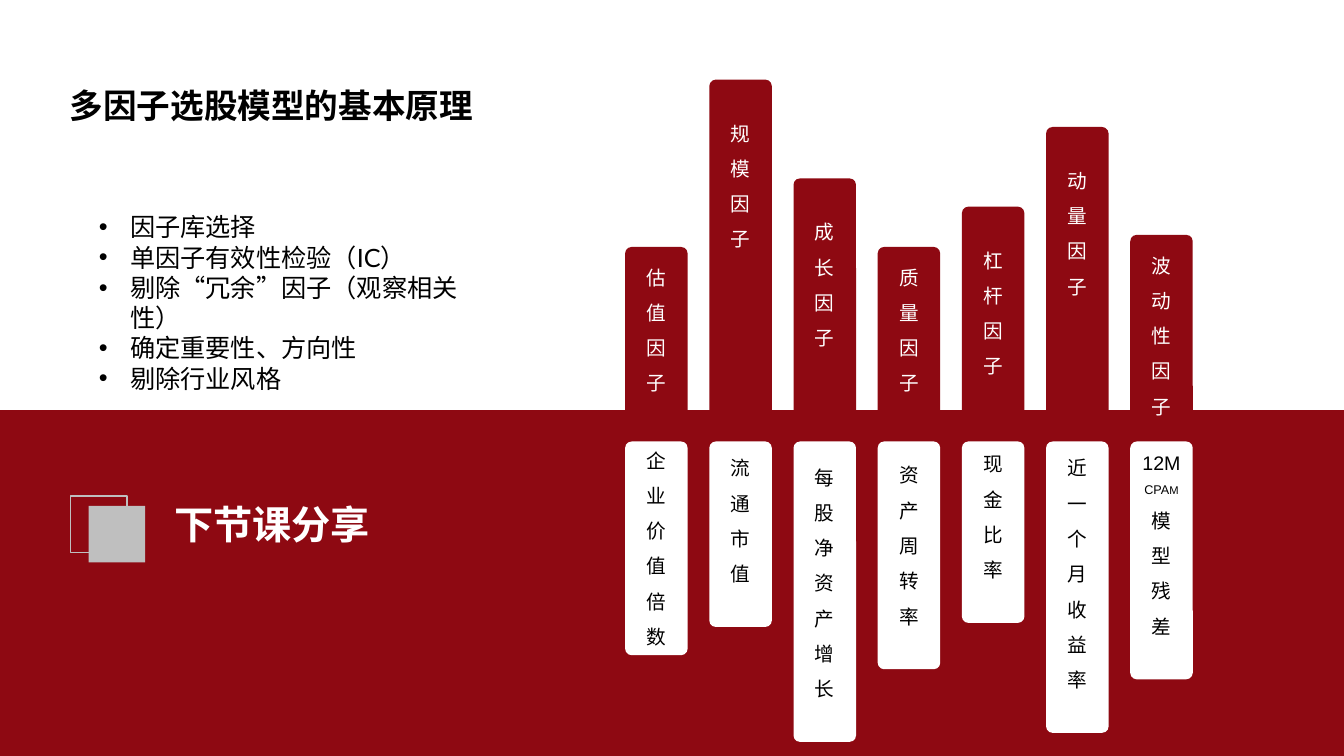
from pptx import Presentation
from pptx.dml.color import RGBColor
from pptx.enum.shapes import MSO_SHAPE as SHAPE
from pptx.enum.text import MSO_ANCHOR as ANCHOR, MSO_AUTO_SIZE as AUTO, PP_ALIGN as ALIGN
from pptx.util import Inches, Pt

RED = RGBColor(0x8E, 0x09, 0x12)
WHITE = RGBColor(0xFF, 0xFF, 0xFF)
BLACK = RGBColor(0, 0, 0)
GREY = RGBColor(0xBF, 0xBF, 0xBF)

WIDTH, HEIGHT = 13.33, 7.5
BAND_TOP = 4.07
BAR_LEFT, BAR_STEP, BAR_WIDTH = 6.2, 0.835, 0.62
LOWER_TOP = 4.38
INSET, UPPER_PAD, LOWER_PAD = 0.05, 0.28, 0.39

BULLETS = [
    ("因子库选择", "Lato"),
    ("单因子有效性检验（IC）", "Lato"),
    ("剔除“冗余”因子（观察相关性）", "Noto Sans CJK SC"),
    ("确定重要性、方向性", "Noto Sans CJK SC"),
    ("剔除行业风格", "Noto Sans CJK SC"),
]

# Each factor: name, top, height, upper padding; measure runs, height, lower padding.
FACTORS = [
    ("估值因子", 2.45, 1.72, INSET, [("企业价值倍数", 14)], 2.12, INSET),
    ("规模因子", 0.79, 3.56, UPPER_PAD, [("流通市值", 14)], 1.84, LOWER_PAD),
    ("成长因子", 1.77, 2.67, UPPER_PAD, [("每股净资产增长", 14)], 2.98, LOWER_PAD),
    ("质量因子", 2.45, 1.9, INSET, [("资产周转率", 14)], 2.26, LOWER_PAD),
    ("杠杆因子", 2.05, 2.39, UPPER_PAD, [("现金比率", 14)], 1.8, LOWER_PAD),
    ("动量因子", 1.26, 3.29, UPPER_PAD, [("近一个月收益率", 14)], 2.89, LOWER_PAD),
    ("波动性因子", 2.33, 2.11, INSET,
     [("12M ", 14), ("CPA", 9), ("M", 8), ("模型残差", 14)], 2.36, LOWER_PAD),
]


def add_run(p, text, size, color, font="Arial", bold=False):
    """Append one formatted run to a paragraph."""
    r = p.add_run()
    r.text = text
    r.font.size, r.font.name, r.font.bold = Pt(size), font, bold
    r.font.color.rgb = color


def add_box(s, kind, box, fill=None, line=None):
    """Add a flat shape with an optional fill and outline."""
    sp = s.shapes.add_shape(kind, *map(Inches, box))
    sp.shadow.inherit = False
    if fill is None:
        sp.fill.background()
    else:
        sp.fill.solid()
        sp.fill.fore_color.rgb = fill
    if line is None:
        sp.line.fill.background()
    else:
        sp.line.color.rgb = line
        sp.line.width = Pt(1)
    return sp


def place(sp, box):
    """Move a placeholder to a box and fix its text settings."""
    sp.left, sp.top, sp.width, sp.height = map(Inches, box)
    tf = sp.text_frame
    tf.word_wrap, tf.auto_size, tf.vertical_anchor = True, AUTO.NONE, ANCHOR.TOP
    return tf


def add_title(s, box):
    """Fill the title placeholder."""
    p = place(s.shapes.title, box).paragraphs[0]
    p.alignment = ALIGN.LEFT
    add_run(p, "多因子选股模型的基本原理", 24, BLACK, "Lato", True)


def add_bullets(s, box):
    """Fill the body placeholder with the list of steps."""
    tf = place(s.placeholders[1], box)
    for i, (text, font) in enumerate(BULLETS):
        p = tf.add_paragraph() if i else tf.paragraphs[0]
        p.space_before = Pt(0)
        pPr = p._p.get_or_add_pPr()
        pPr.set("marL", str(Inches(0.31)))
        pPr.set("indent", str(-Inches(0.31)))
        add_run(p, text, 18, BLACK, font)


def add_bar(s, box, runs, fill, color, anchor, top=INSET, bottom=INSET):
    """Add a rounded bar with stacked characters."""
    sp = add_box(s, SHAPE.ROUNDED_RECTANGLE, box, fill)
    sp.adjustments[0] = 0.103
    tf = sp.text_frame
    tf.word_wrap, tf.vertical_anchor = True, anchor
    tf.margin_top, tf.margin_bottom = Inches(top), Inches(bottom)
    p = tf.paragraphs[0]
    p.alignment, p.line_spacing = ALIGN.CENTER, 1.5
    for text, size in runs:
        add_run(p, text, size, color)


def add_factors(s, left):
    """Add the red factor bars and the white measure bars in columns."""
    for i, (name, top, height, pad, measure, depth, lower_pad) in enumerate(FACTORS):
        x = left + i * BAR_STEP
        add_bar(s, (x, top, BAR_WIDTH, height), [(name, 14)],
                RED, WHITE, ANCHOR.TOP, top=pad)
        add_bar(s, (x, LOWER_TOP, BAR_WIDTH, depth), measure,
                WHITE, BLACK, ANCHOR.BOTTOM, bottom=lower_pad)


def add_next_lesson(s, left, top):
    """Add the paired squares and the heading beside them."""
    side = 0.56
    add_box(s, SHAPE.RECTANGLE, (left, top, side, side), line=GREY)
    add_box(s, SHAPE.RECTANGLE, (left + 0.18, top + 0.1, side, side), GREY)
    box = (left + 0.93, top + 0.05, 3.51, 0.78)
    tf = s.shapes.add_textbox(*map(Inches, box)).text_frame
    tf.word_wrap = True
    p = tf.paragraphs[0]
    p.line_spacing = 0.9
    add_run(p, "下节课分享", 28, WHITE, bold=True)


def main():
    """Build and save the slide."""
    prs = Presentation()
    prs.slide_width, prs.slide_height = Inches(WIDTH), Inches(HEIGHT)
    s = prs.slides.add_slide(prs.slide_layouts[1])
    add_box(s, SHAPE.RECTANGLE, (0, BAND_TOP, WIDTH, HEIGHT - BAND_TOP), RED)
    add_title(s, (0.59, 0.79, 4.9, 0.5))
    add_bullets(s, (0.88, 2.05, 4.14, 1.9))
    add_factors(s, BAR_LEFT)
    add_next_lesson(s, 0.7, 4.92)
    prs.save("out.pptx")


if __name__ == "__main__":
    main()
